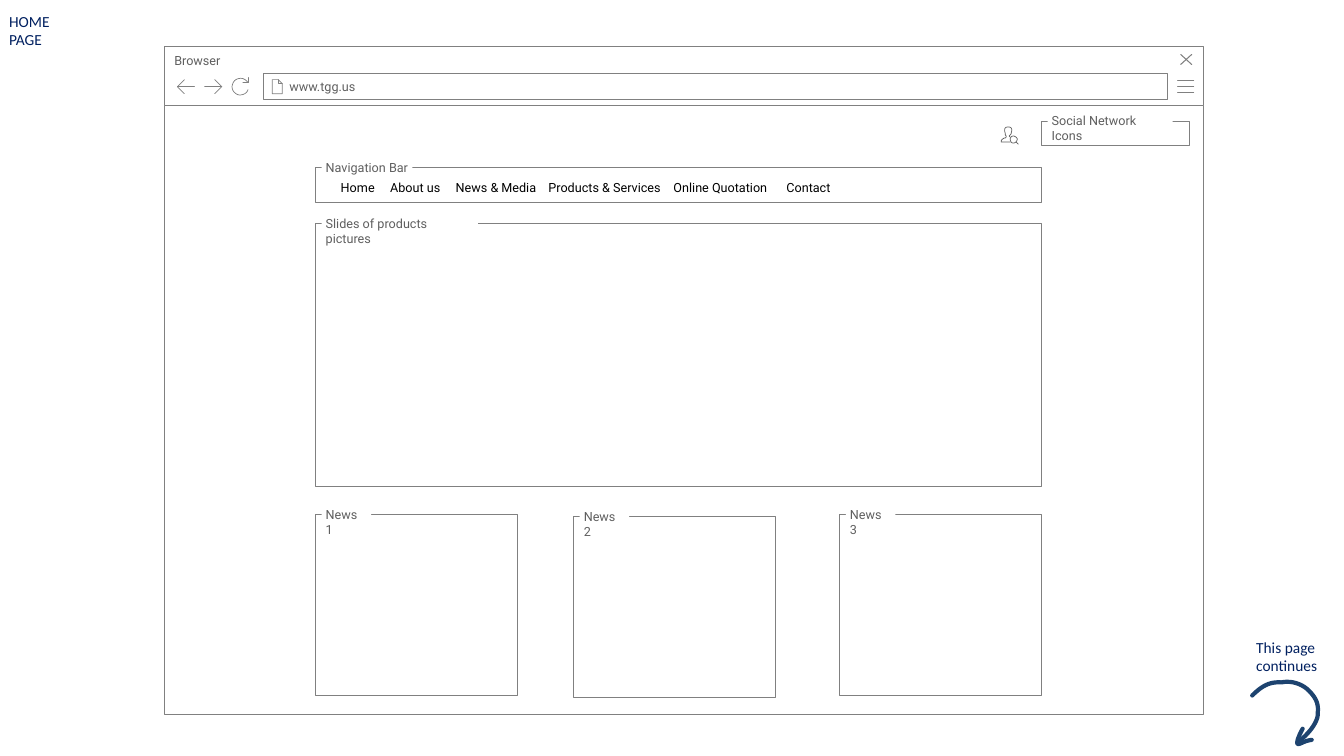
from dataclasses import dataclass

from lxml import etree
from pptx import Presentation
from pptx.dml.color import RGBColor
from pptx.enum.shapes import MSO_SHAPE
from pptx.enum.text import MSO_ANCHOR, MSO_AUTO_SIZE, PP_ALIGN
from pptx.oxml.ns import qn
from pptx.util import Inches, Pt

RECT = MSO_SHAPE.RECTANGLE
TOP, MIDDLE = MSO_ANCHOR.TOP, MSO_ANCHOR.MIDDLE
LEFT = PP_ALIGN.LEFT
NO_FIT = MSO_AUTO_SIZE.NONE


@dataclass(frozen=True)
class Theme:
    white: str = "FFFFFF"
    line: str = "808080"
    grey: str = "5F5F5F"
    black: str = "000000"
    navy: str = "002060"
    arrow: str = "1D436F"
    ui: str = "Roboto"
    note: str = "Calibri"
    small: float = 9
    large: float = 11
    thin: float = 0.5


theme = Theme()

# Content: text, box (left, top, width, height)
TITLE = ("HOME PAGE", (-0.01, 0.07, 0.92, 0.48))
NOTE = ("This page continues", (12.36, 6.28, 0.92, 0.48))
PAGE = (1.63, 1.05, 10.31, 6.04)
BAR = ("Browser", (1.63, 0.46, 10.31, 0.59))
URL = ("www.tgg.us", (2.61, 0.73, 8.97, 0.26))

# Labelled frames: label, box, then label rise, width, height, right inset
FRAMES = [
    ("Social Network Icons", (10.33, 1.2, 1.47, 0.24), 0.09, 1.24, 0.32, 0.08),
    ("Slides of products pictures", (3.13, 2.22, 7.2, 2.61),
     0.09, 1.55, 0.32, 0.08),
    ("News 1", (3.13, 5.1, 2, 1.8), 0.08, 0.49, 0.32, 0.08),
    ("News 2", (5.69, 5.12, 2, 1.8), 0.08, 0.49, 0.32, 0.08),
    ("News 3", (8.33, 5.1, 2, 1.8), 0.08, 0.49, 0.32, 0.08),
    ("Navigation Bar", (3.13, 1.66, 7.2, 0.35), 0.08, 0.9, 0.17, 0),
]

MENU = ["Home", "About us", "News & Media", "Products & Services",
        "Online Quotation", "Contact"]
MENU_BOX = (3.3, 1.75, 6.8, 0.22)
TABS = [0.49, 1.14, 2.06, 3.3, 4.42]

# Strokes: a pair is a straight step, six numbers are a Bezier step
BURGER = [[(11.68, y), (11.84, y)] for y in (0.8, 0.86, 0.92)]
CLOSE = [[(11.82, 0.54), (11.71, 0.64)], [(11.71, 0.54), (11.82, 0.64)]]
SHEET = [
    [(2.76, 0.79), (2.76, 0.83), (2.8, 0.83)],
    [(2.7, 0.79), (2.7, 0.93), (2.8, 0.93), (2.8, 0.83), (2.76, 0.79),
     (2.7, 0.79)],
]
BACK = [[(1.83, 0.93), (1.76, 0.86), (1.83, 0.79)],
        [(1.76, 0.86), (1.93, 0.86)]]
NEXT = [[(2.13, 0.79), (2.2, 0.86), (2.13, 0.93)],
        [(2.2, 0.86), (2.03, 0.86)]]
RELOAD = [
    [(2.46, 0.77), (2.46, 0.82), (2.41, 0.82)],
    [(2.46, 0.89), (2.45, 0.93, 2.4, 0.95, 2.36, 0.94),
     (2.31, 0.92, 2.29, 0.87, 2.31, 0.83),
     (2.32, 0.79, 2.37, 0.77, 2.41, 0.78),
     (2.43, 0.79, 2.45, 0.8, 2.46, 0.82)],
]
USER = [
    [(10.02, 1.41), (9.93, 1.41), (9.93, 1.38, 9.95, 1.38, 9.96, 1.37),
     (9.98, 1.37, 9.98, 1.36, 9.98, 1.35),
     (9.97, 1.34, 9.97, 1.33, 9.97, 1.32),
     (9.96, 1.29, 9.96, 1.26, 10, 1.26),
     (10.04, 1.26, 10.04, 1.29, 10.03, 1.32),
     (10.03, 1.33, 10.02, 1.34, 10.01, 1.35), (10.02, 1.36)],
    [(10.05, 1.35), (10.03, 1.35, 10.02, 1.37, 10.02, 1.38),
     (10.02, 1.4, 10.03, 1.42, 10.05, 1.42),
     (10.07, 1.42, 10.09, 1.4, 10.09, 1.38),
     (10.09, 1.37, 10.07, 1.35, 10.05, 1.35)],
    [(10.08, 1.41), (10.1, 1.43)],
]
ARROW = [
    [(12.92, 7.23), (12.87, 7.32, 12.86, 7.37, 12.87, 7.38),
     (12.89, 7.39, 12.93, 7.35, 13.01, 7.34)],
    [(12.42, 6.9), (12.51, 6.81, 12.59, 6.76, 12.71, 6.77),
     (12.8, 6.75, 12.91, 6.78, 12.98, 6.85),
     (13.05, 6.92, 13.08, 6.98, 13.07, 7.07),
     (13.08, 7.15, 12.99, 7.27, 12.89, 7.35)],
]
ICONS = [
    (BURGER, theme.line, theme.thin), (CLOSE, theme.line, 0.75),
    (SHEET, theme.line, theme.thin), (BACK, theme.line, theme.thin),
    (NEXT, theme.line, theme.thin), (RELOAD, theme.line, theme.thin),
    (USER, theme.grey, theme.thin), (ARROW, theme.arrow, 3),
]

prs = Presentation()
prs.slide_width, prs.slide_height = Inches(13.33), Inches(7.5)
slide = prs.slides.add_slide(prs.slide_layouts[5])
shapes = slide.shapes


def color(code):
    return RGBColor.from_string(code)


def write(shape, text, ink, font=theme.ui, size=theme.small,
          pad=(0.1, 0.05, 0.1, 0.05), anchor=TOP, tabs=()):
    frame = shape.text_frame
    frame.text = text
    frame.word_wrap, frame.auto_size = True, NO_FIT
    frame.vertical_anchor = anchor
    (frame.margin_left, frame.margin_top,
     frame.margin_right, frame.margin_bottom) = map(Inches, pad)
    para = frame.paragraphs[0]
    para.alignment = LEFT
    if tabs:
        stops = etree.SubElement(para._p.get_or_add_pPr(), qn("a:tabLst"))
        for stop in tabs:
            etree.SubElement(stops, qn("a:tab"), pos=str(Inches(stop)),
                             algn="l")
    for run in para.runs:
        run.font.name, run.font.size = font, Pt(size)
        run.font.color.rgb = color(ink)


def panel(box):
    shape = shapes.add_shape(RECT, *map(Inches, box))
    shape.shadow.inherit = False
    shape.fill.solid()
    shape.fill.fore_color.rgb = color(theme.white)
    shape.line.color.rgb = color(theme.line)
    shape.line.width = Pt(theme.thin)
    return shape


def label(box):
    return shapes.add_textbox(*map(Inches, box))


def flatten(stroke, steps=10):
    points = [stroke[0]]
    for step in stroke[1:]:
        if len(step) == 2:
            points.append(step)
            continue
        start = points[-1]
        for i in range(1, steps + 1):
            t = i / steps
            u = 1 - t
            points.append(tuple(
                u**3 * start[k] + 3 * u * u * t * step[k]
                + 3 * u * t * t * step[k + 2] + t**3 * step[k + 4]
                for k in (0, 1)))
    return [(Inches(x), Inches(y)) for x, y in points]


def draw(strokes, ink, width):
    lines = [flatten(stroke) for stroke in strokes]
    pen = shapes.build_freeform(*lines[0][0])
    for i, points in enumerate(lines):
        if i:
            pen.move_to(*points[0])
        pen.add_line_segments(points[1:], close=False)
    shape = pen.convert_to_shape()
    shape.shadow.inherit = False
    shape.fill.background()
    shape.line.color.rgb = color(ink)
    shape.line.width = Pt(width)
    shape.line._get_or_add_ln().set("cap", "rnd")


# Page title
title = shapes.title
(title.left, title.top, title.width, title.height) = map(Inches, TITLE[1])
write(title, TITLE[0], theme.navy, theme.note, theme.large)

# Browser window
panel(PAGE)
write(panel(BAR[1]), BAR[0], theme.grey, pad=(0.1, 0.06, 0.25, 0.05))
write(panel(URL[1]), URL[0], theme.grey, pad=(0.26, 0.05, 0.1, 0.05),
      anchor=MIDDLE)

# Frames with a label set into the top edge
for text, box, rise, width, height, right in FRAMES:
    panel(box)
    tag = label((box[0] + 0.06, box[1] - rise, width, height))
    tag.fill.solid()
    tag.fill.fore_color.rgb = color(theme.white)
    write(tag, text, theme.grey, pad=(0.04, 0.01, right, 0))

# Menu
write(label(MENU_BOX), "\t".join(MENU), theme.black,
      pad=(0.08, 0.03, 0.08, 0.03), tabs=TABS)

# Icons, arrow and note
for icon in ICONS:
    draw(*icon)
write(label(NOTE[1]), NOTE[0], theme.navy, theme.note, theme.large)

prs.save("out.pptx")
